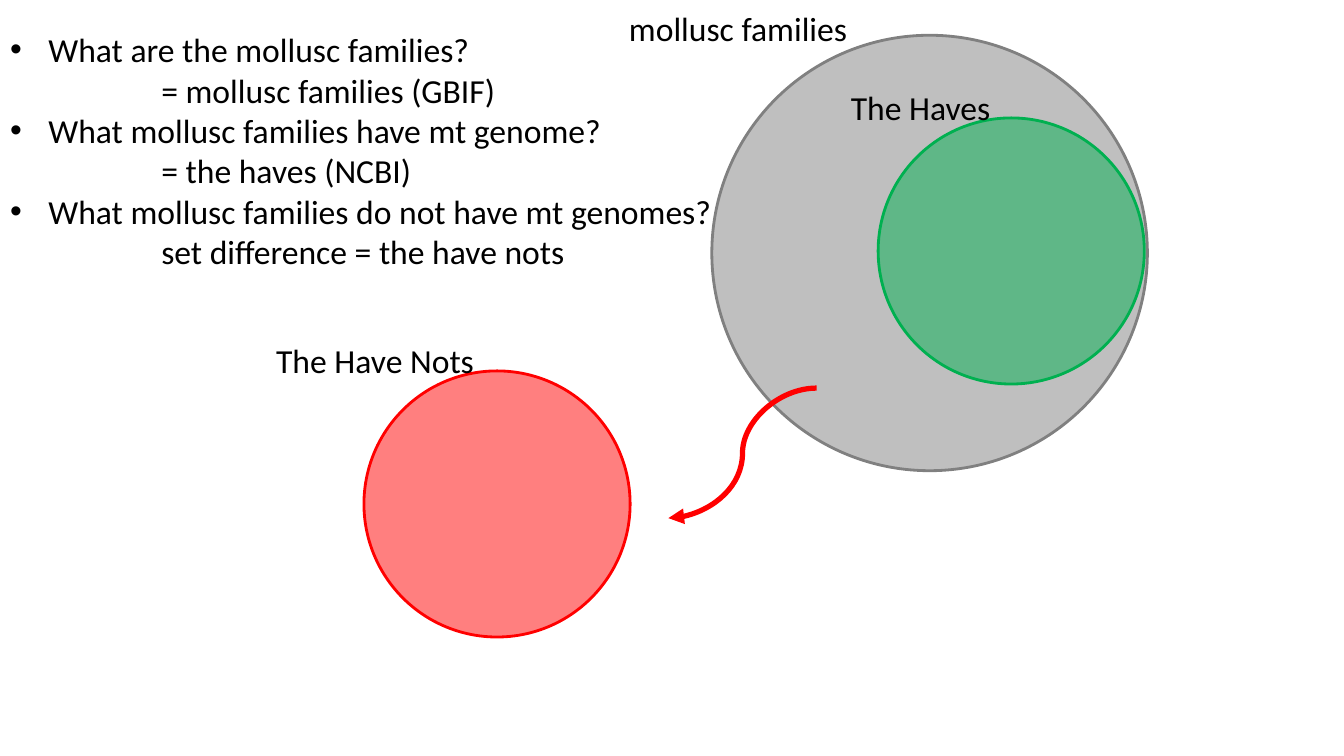
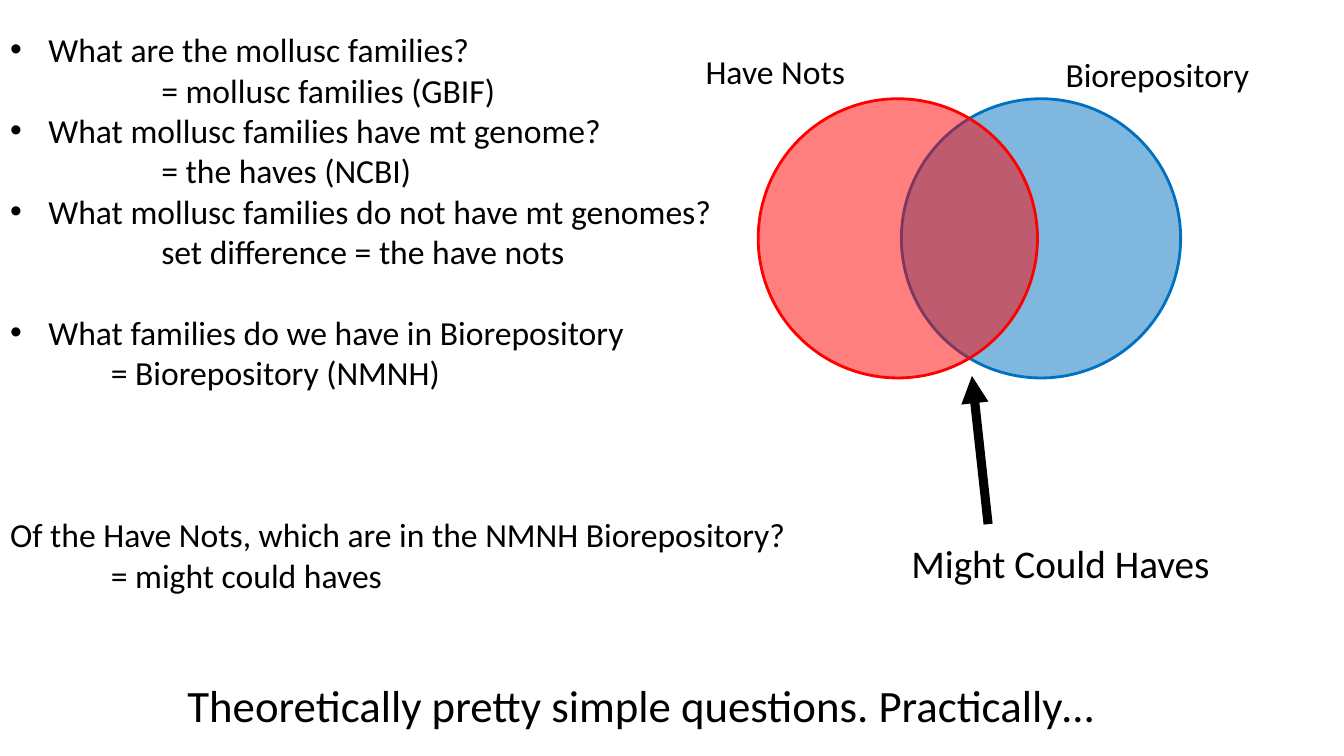
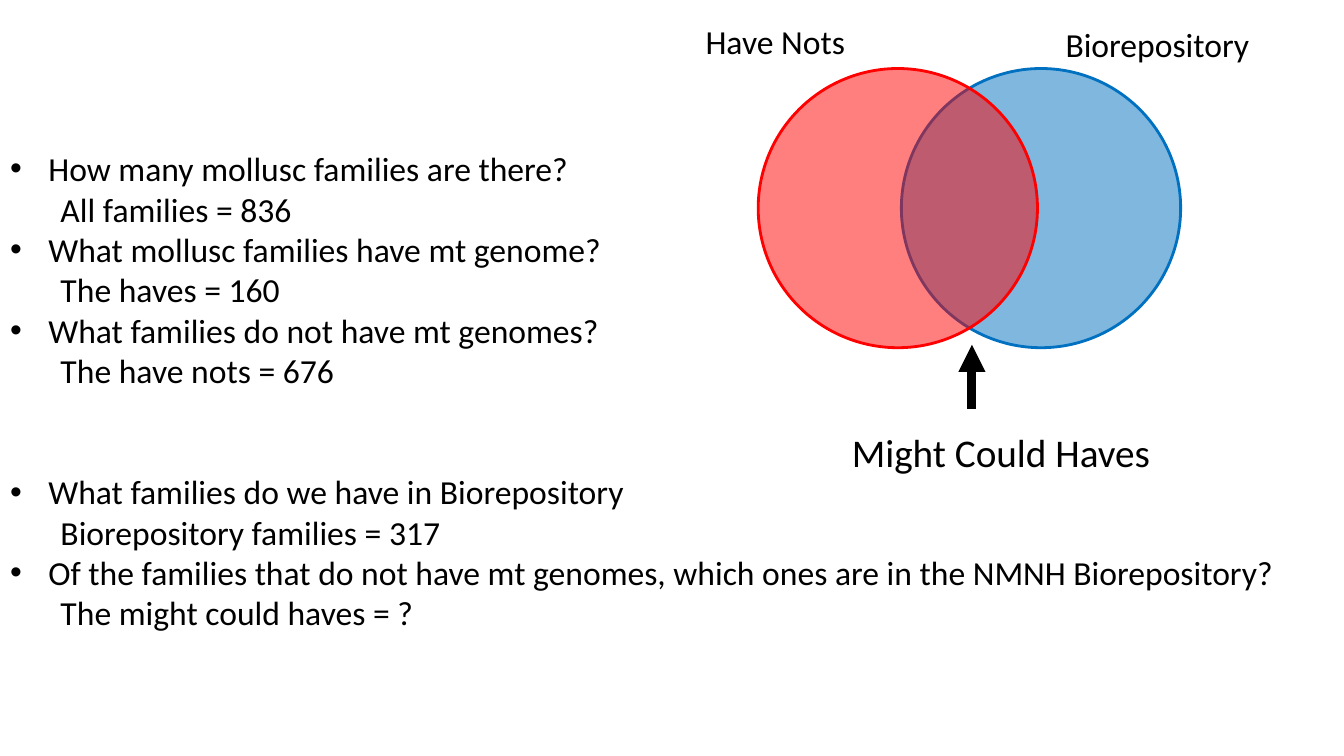
import pptx
import pptx.util
import pptx.dml.color
import pptx.enum.shapes
import pptx.enum.text
import pptx.oxml.ns
import lxml.etree

SCALE = 9144  # EMU in one px, 100 px to the inch
FONT = "Calibri"
HEX = {"black": "000000", "grey": "808080", "green": "00B050",
       "red": "FF0000", "blue": "0070C0"}
SIZE = 24
LINE = 29  # height of one line of list text, in points
HANG = 38
DEEP = 150
MID = 100
NEAR = 50


def px(*sides):
    return [pptx.util.Emu(side * SCALE) for side in sides]


def add_tag(parent, tag, **keys):
    node = lxml.etree.SubElement(parent, pptx.oxml.ns.qn(tag))
    for key, value in keys.items():
        node.set(key, str(value))
    return node


class Deck:
    """Holds the style and the current slide."""

    def __init__(self):
        self.show = pptx.Presentation()
        self.show.slide_width, self.show.slide_height = px(1333, 750)
        self.slide = None

    def page(self):
        self.slide = self.show.slides.add_slide(self.show.slide_layouts[1])
        title = self.slide.shapes.title.element
        title.getparent().remove(title)

    def color(self, name):
        return pptx.dml.color.RGBColor.from_string(HEX[name])

    def add_text(self, para, text, size):
        run = para.add_run()
        run.text = text
        run.font.name = FONT
        run.font.size = pptx.util.Pt(size)
        run.font.color.rgb = self.color("black")

    def bullets(self, box, rows):
        """Each row: text, indent (0 for a bullet, None for plain), blank lines above."""
        body = self.slide.placeholders[1]
        body.left, body.top, body.width, body.height = px(*box)
        frame = body.text_frame
        frame.word_wrap = True
        frame.auto_size = pptx.enum.text.MSO_AUTO_SIZE.NONE
        frame.vertical_anchor = pptx.enum.text.MSO_ANCHOR.TOP
        for i, (text, dent, gap) in enumerate(rows):
            para = frame.add_paragraph() if i else frame.paragraphs[0]
            para.line_spacing = 1.0
            para.space_before = pptx.util.Pt(gap * LINE)
            para.space_after = pptx.util.Pt(0)
            props = para._p.get_or_add_pPr()
            bullet = dent == 0
            left, hang = (HANG, -HANG) if bullet else (dent or 0, 0)
            props.set("marL", str(left * SCALE))
            props.set("indent", str(hang * SCALE))
            if bullet:
                add_tag(props, "a:buFont", typeface="Arial")
                add_tag(props, "a:buChar", char="•")
            else:
                add_tag(props, "a:buNone")
            self.add_text(para, text, SIZE)

    def label(self, text, box, size=SIZE):
        frame = self.slide.shapes.add_textbox(*px(*box)).text_frame
        frame.word_wrap = True
        self.add_text(frame.paragraphs[0], text, size)

    def disc(self, left, top, width, name):
        oval = pptx.enum.shapes.MSO_SHAPE.OVAL
        shape = self.slide.shapes.add_shape(oval, *px(left, top, width, width))
        shape.shadow.inherit = False
        shape.fill.solid()
        shape.fill.fore_color.rgb = self.color(name)
        tint = shape.element.spPr.find(".//" + pptx.oxml.ns.qn("a:srgbClr"))
        add_tag(tint, "a:alpha", val=50000)
        shape.line.color.rgb = self.color(name)
        shape.line.width = pptx.util.Pt(2)

    def arrow(self, ends, name, width, curved=False):
        kinds = pptx.enum.shapes.MSO_CONNECTOR
        kind = kinds.CURVE if curved else kinds.STRAIGHT
        line = self.slide.shapes.add_connector(kind, *px(*ends))
        line.line.color.rgb = self.color(name)
        line.line.width = pptx.util.Pt(width)
        props = line.element.spPr
        add_tag(props.get_or_add_ln(), "a:tailEnd", type="triangle")
        add_tag(props, "a:effectLst")

    def venn(self, top):
        self.disc(894, top, 277, "blue")
        self.label("Biorepository", (1047, top - 49, 216, 50))
        self.disc(752, top, 277, "red")
        self.label("Have Nots", (690, top - 52, 216, 50))

    def might(self, left, top):
        self.label("Might Could Haves", (left, top, 319, 57), 28)


# Questions on the first two slides
ASKED = [
    ("What are the mollusc families?", 0, 0),
    ("= mollusc families (GBIF)", DEEP, 0),
    ("What mollusc families have mt genome?", 0, 0),
    ("= the haves (NCBI)", DEEP, 0),
    ("What mollusc families do not have mt genomes?", 0, 0),
    ("set difference = the have nots", DEEP, 0),
]
STORED = [
    ("What families do we have in Biorepository", 0, 1),
    ("= Biorepository (NMNH)", MID, 0),
    ("Of the Have Nots, which are in the NMNH Biorepository?", None, 3),
    ("= might could haves", MID, 0),
]
COUNTS = [
    ("How many mollusc families are there?", 0, 0),
    ("All families = 836", NEAR, 0),
    ("What mollusc families have mt genome?", 0, 0),
    ("The haves = 160", NEAR, 0),
    ("What families do not have mt genomes?", 0, 0),
    ("The have nots = 676", NEAR, 0),
    ("What families do we have in Biorepository", 0, 2),
    ("Biorepository families = 317", NEAR, 0),
    ("Of the families that do not have mt genomes, which ones are in "
     "the NMNH Biorepository?", 0, 0),
    ("The might could haves = ?", NEAR, 0),
]


def main():
    deck = Deck()

    # Slide 1: haves and have nots
    deck.page()
    deck.bullets((0, 24, 721, 252), ASKED)
    deck.disc(706, 35, 432, "grey")
    deck.label("mollusc families", (614, 3, 343, 50))
    deck.disc(871, 117, 264, "green")
    deck.label("The Haves", (834, 81, 216, 50))
    deck.arrow((810, 385, 663, 514), "red", 3.75, curved=True)
    deck.disc(361, 368, 264, "red")
    deck.label("The Have Nots", (264, 332, 275, 50))

    # Slide 2: overlap with the store
    deck.page()
    deck.bullets((0, 24, 796, 656), ASKED + STORED)
    deck.venn(98)
    deck.arrow((980, 520, 964, 373), "black", 6.5)
    deck.might(894, 530)
    deck.label("Theoretically pretty simple questions. Practically…",
               (176, 667, 931, 118), 32)

    # Slide 3: the counts
    deck.page()
    deck.bullets((0, 142, 1284, 535), COUNTS)
    deck.venn(68)
    deck.arrow((964, 406, 964, 342), "black", 6.5)
    deck.might(835, 420)

    deck.show.save("out.pptx")


if __name__ == "__main__":
    main()
